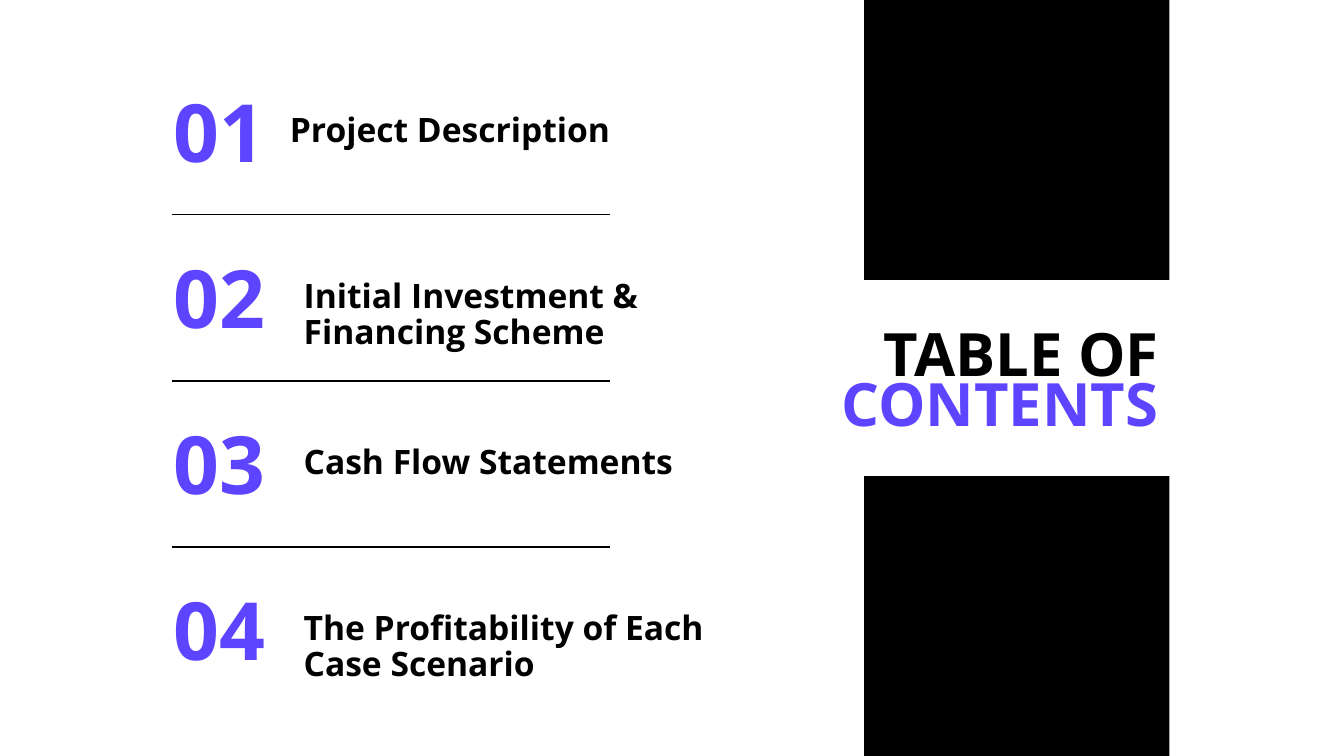
import pptx
import pptx.util
import pptx.dml.color
import pptx.enum.shapes
import pptx.enum.text
import pptx.oxml.ns
import lxml.etree

Cm = pptx.util.Cm
ALIGN = pptx.enum.text.PP_ALIGN
ANCHOR = pptx.enum.text.MSO_ANCHOR
HUES = {"ink": "000000", "accent": "5D44FF"}
FONT = "Open Sans"
PITCH = 3.14
# Each item: wording and indent from the row's left edge
ITEMS = [
    ("Project Description", 2.51),
    ("Initial Investment & Financing Scheme", 2.77),
    ("Cash Flow Statements", 2.77),
    ("The Profitability of Each Case Scenario", 2.77),
]


def tint(name):
    """Return the named colour."""
    return pptx.dml.color.RGBColor.from_string(HUES[name])


def place(shape, box):
    """Move a shape to a box given in centimetres."""
    shape.left, shape.top, shape.width, shape.height = map(Cm, box)


def write(shape, runs, size, align, anchor, space):
    """Fill a shape with one paragraph of (text, colour) runs."""
    frame = shape.text_frame
    frame.word_wrap = True
    frame.auto_size = pptx.enum.text.MSO_AUTO_SIZE.NONE
    frame.vertical_anchor = anchor
    frame.margin_left = frame.margin_right = Cm(0.25)
    frame.margin_top = frame.margin_bottom = Cm(0.25)
    para = frame.paragraphs[0]
    para.alignment = align
    para.line_spacing = space
    para.space_before = pptx.util.Pt(0)
    for text, hue in runs:
        run = para.add_run()
        run.text = text
        run.font.name = FONT
        run.font.size = pptx.util.Pt(size)
        run.font.bold = True
        run.font.color.rgb = tint(hue)


def add_label(slide, box, text, hue, size, align, anchor, space):
    """Add a text box holding a single run."""
    label = slide.shapes.add_textbox(*map(Cm, box))
    write(label, [(text, hue)], size, align, anchor, space)


def add_rule(slide, left, top, width):
    """Add a thin level line."""
    rule = slide.shapes.add_connector(
        pptx.enum.shapes.MSO_CONNECTOR.STRAIGHT,
        Cm(left), Cm(top), Cm(left + width), Cm(top))
    rule.line.color.rgb = tint("ink")
    rule.line.width = pptx.util.Pt(0.75)
    lxml.etree.SubElement(rule._element.spPr, pptx.oxml.ns.qn("a:effectLst"))


def add_list(slide, left, top):
    """Add the numbered items, with a rule between each pair."""
    for i, (text, indent) in enumerate(ITEMS):
        row = top + i * PITCH
        add_label(slide, (left, row, 2.54, 1.6), f"{i + 1:02}", "accent",
                  43, ALIGN.RIGHT, ANCHOR.MIDDLE, 0.8)
        add_label(slide, (left + indent, row + 0.06, 8.81, 1.09), text, "ink",
                  18, ALIGN.LEFT, ANCHOR.TOP, 0.9)
        if i < len(ITEMS) - 1:
            add_rule(slide, left + 0.53, row + 2.23, 8.28)


def add_band(slide, left, width, height):
    """Add the black blocks at top and bottom, and the title between."""
    block = 5.29
    for top in (0, height - block):
        shape = slide.shapes.add_shape(
            pptx.enum.shapes.MSO_SHAPE.RECTANGLE,
            Cm(left), Cm(top), Cm(width), Cm(block))
        shape.shadow.inherit = False
        shape.fill.solid()
        shape.fill.fore_color.rgb = tint("ink")
        shape.line.fill.background()
    title = slide.shapes.title
    place(title, (left - 1.32, 5.79, 7.14, 2.72))
    write(title, [("TABLE OF ", "ink"), ("CONTENTS", "accent")],
          32, ALIGN.RIGHT, ANCHOR.BOTTOM, 0.7)


def main():
    """Build the contents slide and save it."""
    deck = pptx.Presentation()
    deck.slide_width, deck.slide_height = Cm(25.4), Cm(14.29)
    slide = deck.slides.add_slide(deck.slide_layouts.get_by_name("Title Only"))
    add_band(slide, 16.33, 5.77, 14.29)
    add_list(slide, 2.72, 1.83)
    deck.save("out.pptx")


main()
